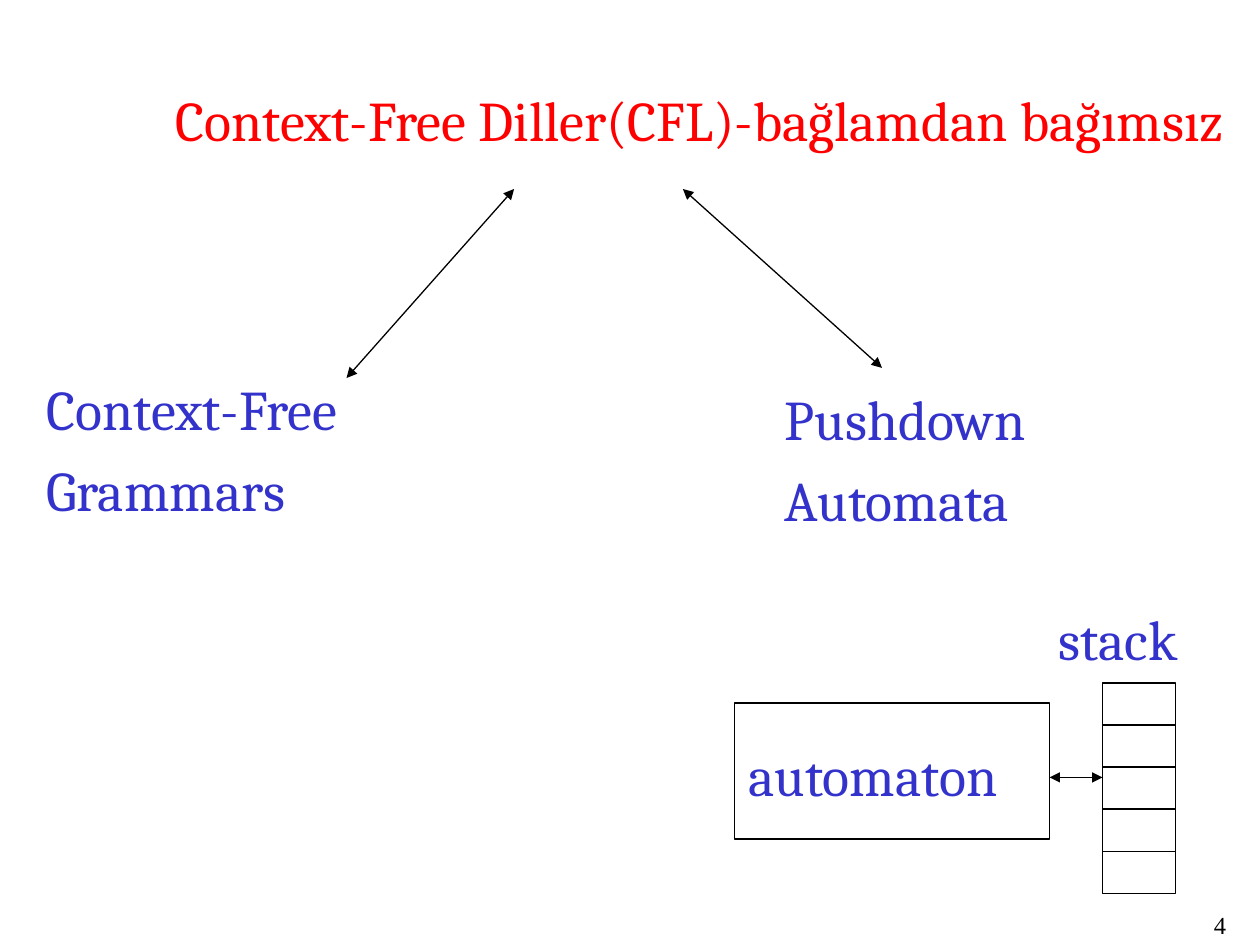
"""Build the slide on context-free languages, grammars and pushdown automata."""
from lxml import etree
from pptx import Presentation
from pptx.dml.color import RGBColor
from pptx.enum.shapes import MSO_CONNECTOR, MSO_SHAPE
from pptx.enum.text import MSO_ANCHOR, MSO_AUTO_SIZE, PP_ALIGN
from pptx.oxml.ns import qn
from pptx.util import Inches, Pt

BLACK = RGBColor(0x00, 0x00, 0x00)
RED = RGBColor(0xFF, 0x00, 0x00)
BLUE = RGBColor(0x33, 0x33, 0xCC)
LEFT, RIGHT = PP_ALIGN.LEFT, PP_ALIGN.RIGHT
TOP = MSO_ANCHOR.TOP
NO_FIT = MSO_AUTO_SIZE.NONE
RECT = MSO_SHAPE.RECTANGLE
STRAIGHT = MSO_CONNECTOR.STRAIGHT

deck = Presentation()
deck.slide_width, deck.slide_height = Inches(10), Inches(7.5)
slide = deck.slides.add_slide(deck.slide_layouts[5])
shapes = slide.shapes


def write(shape, lines, color, align=LEFT, name="Cambria", size=32, gap=8):
    frame = shape.text_frame
    look = {"word_wrap": False, "auto_size": NO_FIT, "vertical_anchor": TOP}
    for key, value in look.items():
        setattr(frame, key, value)
    frame.text = "\n".join(lines)
    for para in frame.paragraphs:
        para.alignment = align
        para.space_before = Pt(gap)
        for key, value in {"name": name, "size": Pt(size)}.items():
            setattr(para.font, key, value)
        para.font.color.rgb = color


def join(start, end, heads=False):
    ends = [Inches(n) for n in (*start, *end)]
    link = shapes.add_connector(STRAIGHT, *ends)
    link.line.color.rgb = BLACK
    link.line.width = Pt(0.75)
    if heads:
        line = link.line._get_or_add_ln()
        for tag in ("a:headEnd", "a:tailEnd"):
            etree.SubElement(line, qn(tag), type="triangle")
    etree.SubElement(link._element.spPr, qn("a:effectLst"))


title = shapes.title
place = {"left": -0.05, "top": 0.63, "width": 9.87, "height": 0.64}
for key, value in place.items():
    setattr(title, key, Inches(value))
write(title, ["Context-Free Diller(CFL)-bağlamdan bağımsız"], RED, RIGHT)

page = shapes.add_textbox(Inches(7.75), Inches(7.17), Inches(2.08), Inches(0.33))
write(page, ["4"], BLACK, RIGHT, "Times New Roman", 14, 0)

x, y, wide, high, cells = 8.75, 5.42, 0.58, 1.67, 5
for box in ((5.83, 5.58, 2.5, 1.08), (x, y, wide, high)):
    rect = shapes.add_shape(RECT, *[Inches(n) for n in box])
    rect.shadow.inherit = False
    rect.fill.background()
    rect.line.color.rgb = BLACK
    rect.line.width = Pt(0.75)

for row in range(1, cells):
    level = y + row * high / cells
    join((x, level), (x + wide, level))

arrows = [
    ((4.08, 1.5), (2.75, 3)),
    ((5.42, 1.5), (7, 2.92)),
    ((8.33, 6.17), (x, 6.17)),
]
for start, end in arrows:
    join(start, end, heads=True)

labels = [
    (6.13, 3, 2.43, 1.28, ["Pushdown", "Automata"]),
    (0.27, 2.92, 2.91, 1.28, ["Context-Free", "Grammars"]),
    (8.3, 4.75, 1.28, 0.64, ["stack"]),
    (5.84, 5.83, 2.52, 0.64, ["automaton"]),
]
for *box, lines in labels:
    label = shapes.add_textbox(*[Inches(n) for n in box])
    write(label, lines, BLUE)

deck.save("out.pptx")
